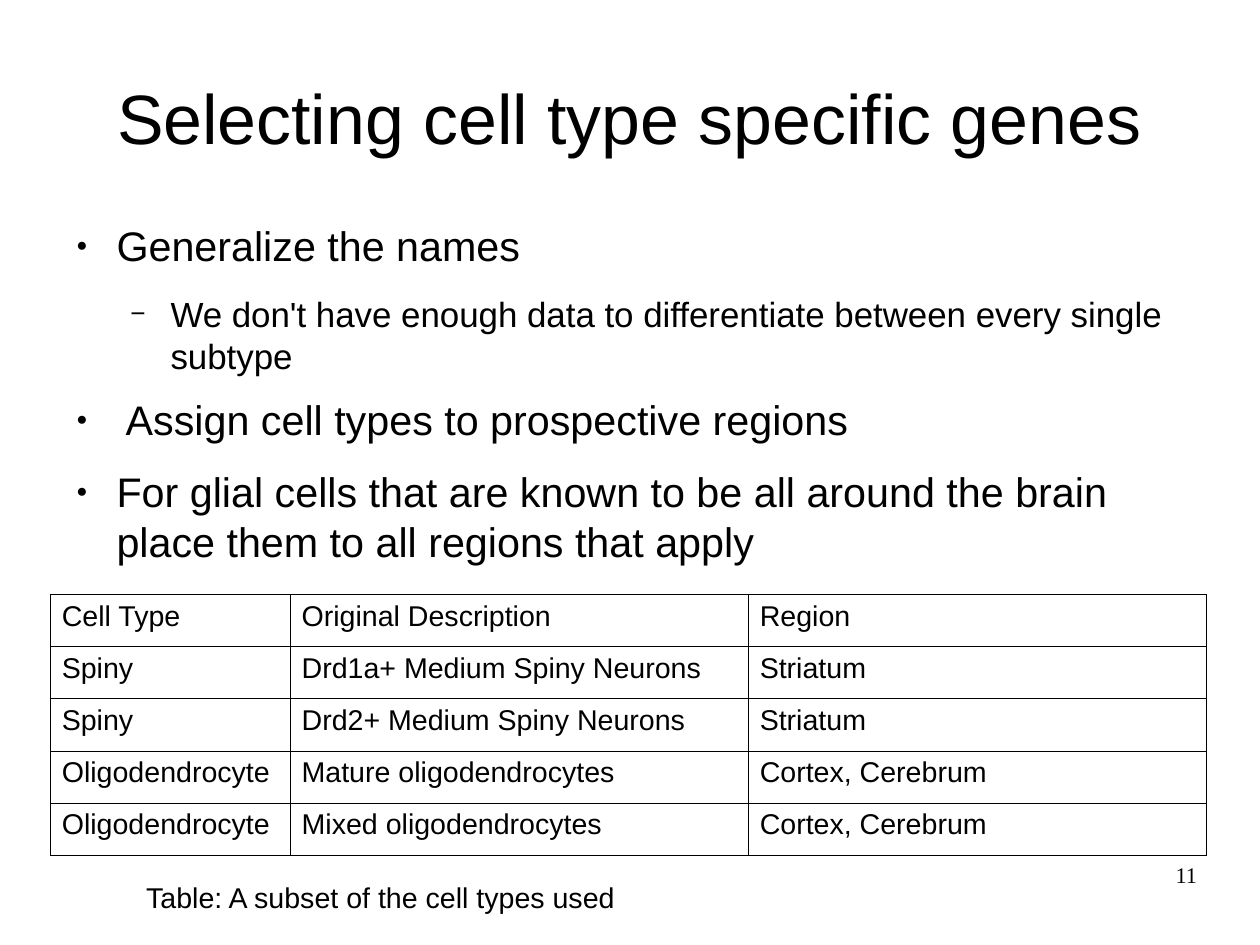
from lxml.etree import SubElement
from pptx import Presentation
from pptx.dml.color import RGBColor
from pptx.enum.text import MSO_ANCHOR as Anchor, PP_ALIGN as Align
from pptx.oxml.ns import qn
from pptx.util import Cm, Pt

BLACK = RGBColor(0x00, 0x00, 0x00)
WHITE = RGBColor(0xFF, 0xFF, 0xFF)

BULLET_LEVELS = [
    dict(char="●", scale=45, indent=1.19, size=26, after=14.2),
    dict(char="−", scale=75, indent=2.39, size=22, after=11.3),
]
POINTS = [
    (0, "Generalize the names"),
    (1, "We don't have enough data to differentiate between every single subtype"),
    (0, " Assign cell types to prospective regions"),
    (0, "For glial cells that are known to be all around the brain "
        "place them to all regions that apply"),
]
CELL_TYPES = [
    ("Cell Type", "Original Description", "Region"),
    ("Spiny", "Drd1a+ Medium Spiny Neurons", "Striatum"),
    ("Spiny", "Drd2+ Medium Spiny Neurons", "Striatum"),
    ("Oligodendrocyte", "Mature oligodendrocytes", "Cortex, Cerebrum"),
    ("Oligodendrocyte", "Mixed oligodendrocytes", "Cortex, Cerebrum"),
]


class SlideWriter:
    """Holds the style and the current slide, and adds elements to it."""

    font = "Arial"
    color = BLACK
    border = Pt(0.57)

    def __init__(self, slide):
        self.slide = slide
        slide.background.fill.solid()
        slide.background.fill.fore_color.rgb = WHITE

    def run(self, paragraph, text, size, font=None):
        run = paragraph.add_run()
        run.text = text
        run.font.size = Pt(size)
        run.font.name = font or self.font
        run.font.color.rgb = self.color

    def frame(self, left, top, width, height, margins=(0, 0)):
        box = self.slide.shapes.add_textbox(Cm(left), Cm(top), Cm(width), Cm(height))
        frame = box.text_frame
        frame.word_wrap = True
        frame.margin_left = frame.margin_right = Cm(margins[0])
        frame.margin_top = frame.margin_bottom = Cm(margins[1])
        return frame

    def text(self, place, text, size, align=Align.LEFT, anchor=Anchor.TOP,
             margins=(0, 0), font=None):
        frame = self.frame(*place, margins=margins)
        frame.vertical_anchor = anchor
        line = frame.paragraphs[0]
        line.alignment = align
        self.run(line, text, size, font)

    def bullets(self, place, points):
        frame = self.frame(*place)
        for index, (depth, text) in enumerate(points):
            level = BULLET_LEVELS[depth]
            point = frame.add_paragraph() if index else frame.paragraphs[0]
            point.level = depth
            props = point._p.get_or_add_pPr()
            props.set("marL", str(Cm(level["indent"])))
            props.set("indent", str(Cm(-0.89)))
            tint = SubElement(props, qn("a:buClr"))
            SubElement(tint, qn("a:srgbClr"), val=str(self.color))
            SubElement(props, qn("a:buSzPct"), val=str(level["scale"] * 1000))
            SubElement(props, qn("a:buFont"), typeface=self.font)
            SubElement(props, qn("a:buChar"), char=level["char"])
            point.space_after = Pt(level["after"])
            self.run(point, text, level["size"])

    def outline(self, cell):
        props = cell._tc.get_or_add_tcPr()
        for side in ("a:lnL", "a:lnR", "a:lnT", "a:lnB"):
            line = SubElement(props, qn(side), w=str(self.border))
            fill = SubElement(line, qn("a:solidFill"))
            SubElement(fill, qn("a:srgbClr"), val=str(self.color))

    def table(self, left, top, widths, row_height, rows, size):
        table = self.slide.shapes.add_table(
            len(rows), len(widths), Cm(left), Cm(top),
            Cm(sum(widths)), Cm(row_height * len(rows))).table
        table.first_row = table.horz_banding = False
        for column, width in zip(table.columns, widths):
            column.width = Cm(width)
        for row, values in zip(table.rows, rows):
            row.height = Cm(row_height)
            for cell, value in zip(row.cells, values):
                self.outline(cell)
                cell.fill.background()
                self.run(cell.text_frame.paragraphs[0], value, size)


def main():
    deck = Presentation()
    deck.slide_width, deck.slide_height = Cm(28), Cm(21)
    writer = SlideWriter(deck.slides.add_slide(deck.slide_layouts[6]))
    writer.text((1.4, 0.84, 25.2, 3.5), "Selecting cell type specific genes", 44,
                align=Align.CENTER, anchor=Anchor.MIDDLE)
    writer.bullets((1.4, 4.9, 25.2, 12.17), POINTS)
    writer.table(1.12, 13.21, (5.33, 10.18, 10.18), 1.16, CELL_TYPES, 18)
    writer.text((3, 19.43, 11.4, 0.97), "Table: A subset of the cell types used", 18,
                margins=(0.25, 0.13))
    writer.text((20.07, 19.13, 6.53, 1.45), "11", 14, align=Align.RIGHT,
                font="Times New Roman")
    deck.save("out.pptx")


if __name__ == "__main__":
    main()
